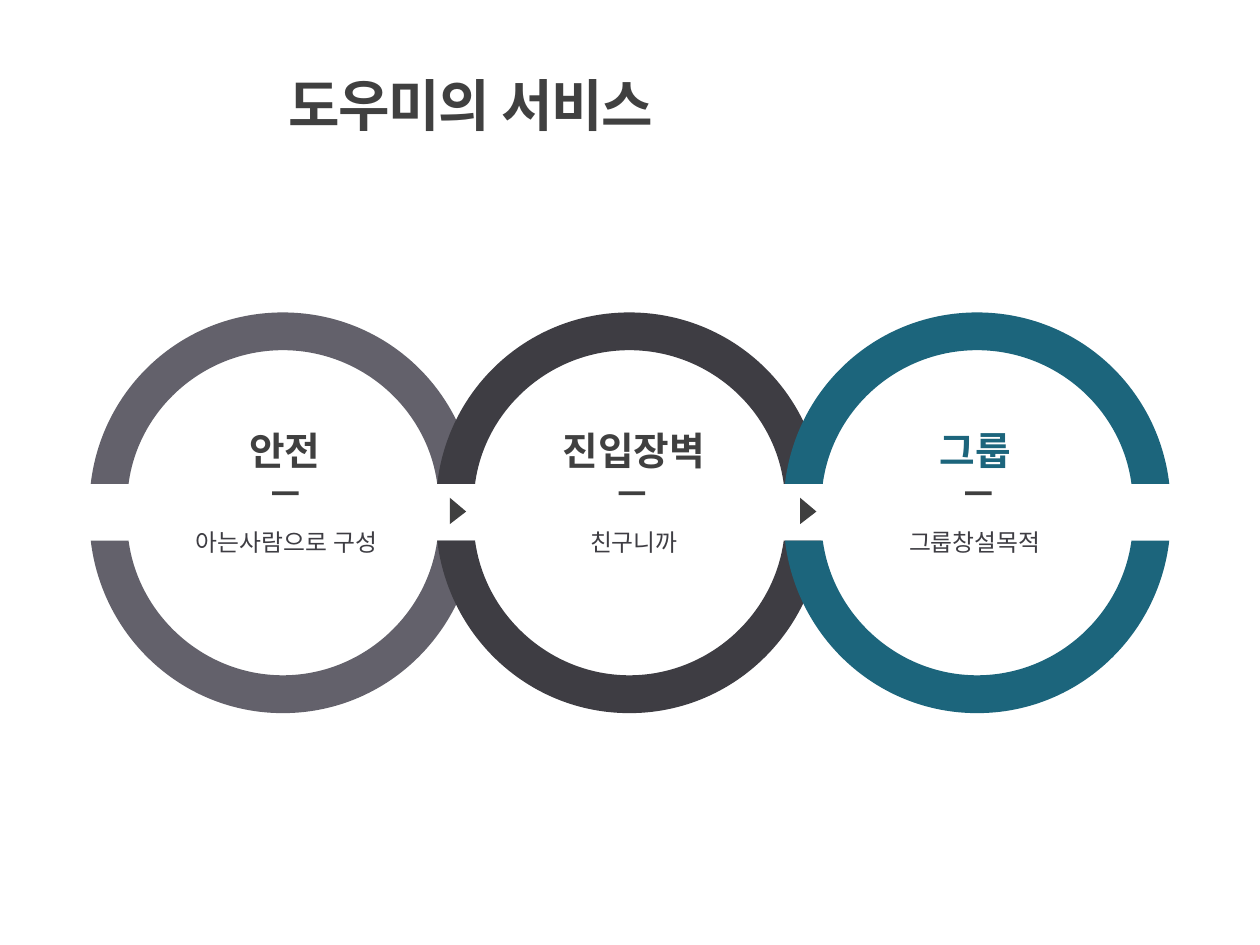
from lxml.etree import SubElement
from pptx import Presentation
from pptx.dml.color import RGBColor
from pptx.enum.shapes import MSO_SHAPE as SHAPE
from pptx.enum.text import MSO_ANCHOR as ANCHOR, PP_ALIGN as ALIGN
from pptx.oxml.ns import qn
from pptx.util import Inches, Pt

FONT = "Noto Sans CJK KR"
GRAY = RGBColor(0x63, 0x61, 0x6B)
DARK = RGBColor(0x3E, 0x3D, 0x43)
TEAL = RGBColor(0x1C, 0x65, 0x7C)
INK = RGBColor(0x40, 0x40, 0x40)
MARK = RGBColor(0x3F, 0x3F, 0x3F)
WHITE = RGBColor(0xFF, 0xFF, 0xFF)

STEP = 2.75
HALF = 3.05 / 2
RIM = 0.3


def paint(shape, color):
    shape.shadow.inherit = False
    shape.fill.solid()
    shape.fill.fore_color.rgb = color
    shape.line.fill.background()


def write(para, text, size, color, bold):
    run = para.add_run()
    run.text = text
    font = run.font
    font.name, font.size, font.bold = FONT, Pt(size), bold
    font.color.rgb = color
    props = run._r.get_or_add_rPr()
    props.set("lang", "ko-KR")
    props.set("kern", "0")
    SubElement(props, qn("a:ea")).set("typeface", FONT)
    return props


deck = Presentation()
deck.slide_width, deck.slide_height = Inches(10), Inches(7.5)
slide = deck.slides.add_slide(deck.slide_layouts[5])
shapes = slide.shapes

title = shapes.title
title.left, title.top = Inches(2.19), Inches(0.43)
title.width, title.height = Inches(7.34), Inches(0.86)
title.text_frame.vertical_anchor = ANCHOR.MIDDLE
para = title.text_frame.paragraphs[0]
para.alignment = ALIGN.LEFT
para.line_spacing = 0.9
write(para, "도우미의 서비스", 32, INK, True).set("spc", "-100")

for left in (3.57, 6.35):
    pen = shapes.build_freeform(Inches(left), Inches(3.95))
    pen.add_line_segments([
        (Inches(left + 0.13), Inches(4.06)),
        (Inches(left), Inches(4.16)),
    ])
    paint(pen.convert_to_shape(), MARK)

for left, color in ((0.72, GRAY), (3.47, DARK), (6.23, TEAL)):
    mid = left + HALF
    for edge, side, deep in ((4.29, 1, 1.37), (3.84, -1, 1.36)):
        inner, low = HALF - RIM, deep - RIM
        arc = [(0, low), (0.62, low), (inner - 0.08, 0.6), (inner, 0),
               (inner + 0.2, 0), (HALF, 0), (HALF, 0),
               (HALF - 0.09, 0.77), (0.79, deep), (0, deep)]
        back = [(-x, y) for x, y in arc[-2::-1]]
        points = [(Inches(mid + x), Inches(edge + side * y)) for x, y in arc + back]
        pen = shapes.build_freeform(*points[0])
        pen.add_line_segments(points[1:])
        band = pen.convert_to_shape()
        lines = list(band._element.iter(qn("a:lnTo")))
        for i in range(0, len(lines), 3):
            curve = lines[i]
            curve.tag = qn("a:cubicBezTo")
            for line in lines[i + 1:i + 3]:
                curve.append(line[0])
                line.getparent().remove(line)
        paint(band, color)

for col in range(3):
    shift = STEP * col
    disc = shapes.add_shape(SHAPE.OVAL, Inches(1.17 + shift), Inches(2.99),
                            Inches(2.19), Inches(2.19))
    paint(disc, WHITE)
for col in range(3):
    dash = shapes.add_shape(SHAPE.RECTANGLE, Inches(2.16 + STEP * col), Inches(3.9),
                            Inches(0.21), Inches(0.03))
    paint(dash, MARK)

labels = [
    (1.41, 4.14, 1.73, 0.33, "아는사람으로 구성", 13.6, DARK, False),
    (4.56, 4.14, 0.94, 0.33, "친구니까", 13.6, DARK, False),
    (7.08, 4.14, 1.31, 0.33, "그룹창설목적", 13.6, DARK, False),
    (1.86, 3.34, 0.8, 0.46, "안전", 22.1, INK, True),
    (4.33, 3.34, 1.4, 0.46, "진입장벽", 22.1, INK, True),
    (7.34, 3.34, 0.8, 0.46, "그룹", 22.1, TEAL, True),
]
for left, top, width, height, text, size, color, bold in labels:
    box = shapes.add_textbox(Inches(left), Inches(top), Inches(width), Inches(height))
    frame = box.text_frame
    frame.word_wrap = False
    frame.vertical_anchor = ANCHOR.MIDDLE
    frame.margin_top = frame.margin_bottom = 0
    para = frame.paragraphs[0]
    para.alignment = ALIGN.CENTER
    write(para, text, size, color, bold)

deck.save("out.pptx")
